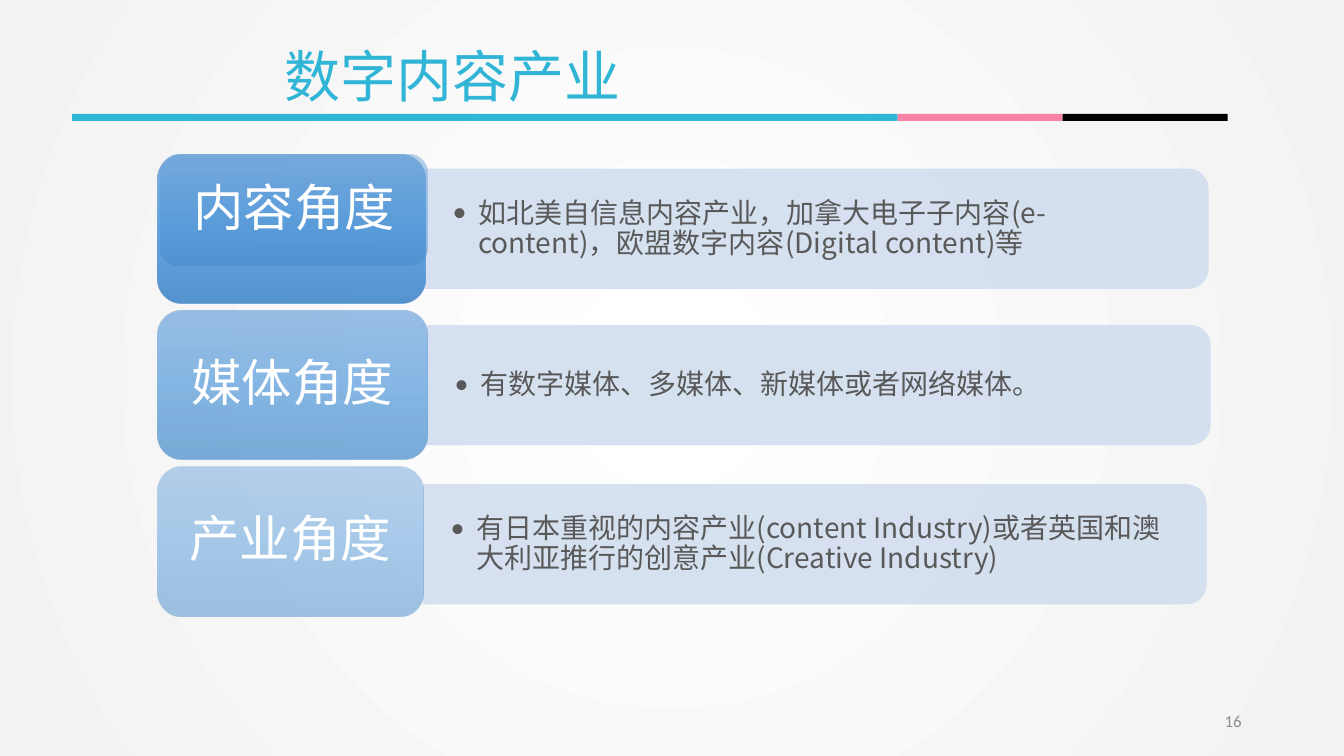
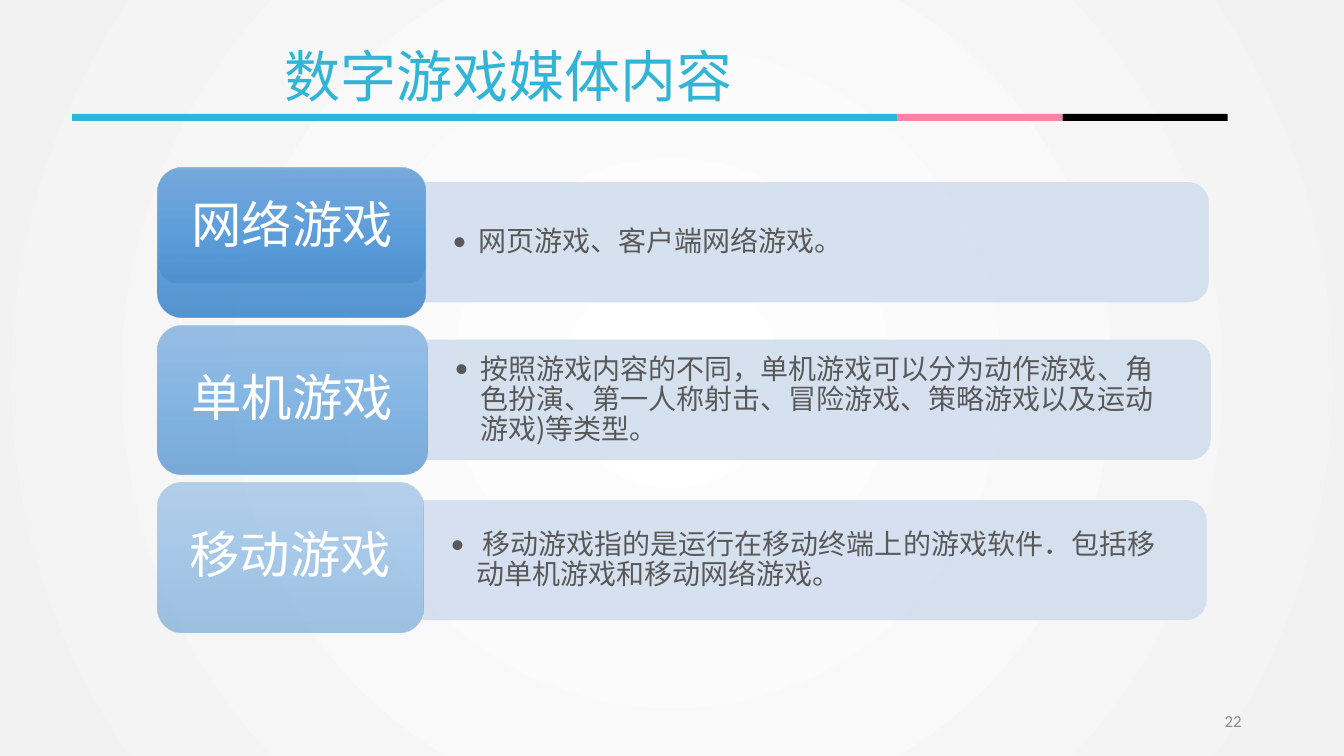
from lxml import etree
from pptx import Presentation
from pptx.dml.color import RGBColor
from pptx.enum.shapes import MSO_SHAPE
from pptx.enum.text import MSO_ANCHOR, PP_ALIGN
from pptx.oxml.ns import qn
from pptx.util import Cm, Pt

RECT, ROUND = MSO_SHAPE.RECTANGLE, MSO_SHAPE.ROUNDED_RECTANGLE
TAB = MSO_SHAPE.ROUND_2_SAME_RECTANGLE
LEFT, MID, RIGHT = PP_ALIGN.LEFT, PP_ALIGN.CENTER, PP_ALIGN.RIGHT
TOP, CENTER = MSO_ANCHOR.TOP, MSO_ANCHOR.MIDDLE

# Shared style
HAN, LATIN = "Noto Sans CJK SC", "Calibri"
CYAN, PINK, BLACK, WHITE = "31B5D6", "F784A5", "000000", "FFFFFF"
PALE, DARK, MUTED = "D2DEEF", "595959", "8C8C8C"
BLUES = ["71A6DB", "559BDB", "448ACA"]
BAR = [(CYAN, 5), (PINK, 1), (BLACK, 1)]
SLIDE_W, SLIDE_H = 33.87, 19.05

# Row grid in cm: tag width, panel drop, opacity
ROWS = [(6.76, 0.37, 90), (6.81, 0.37, 70), (6.71, 0.44, 50)]
TAG_X, TAG_H = 3.96, 3.76
PANEL_W, PANEL_H = 19.73, 3.01
LID_W, LID_H = 6.71, 2.81


def rgb(code):
    return RGBColor.from_string(code)


def add(node, tag, **attrs):
    return etree.SubElement(node, qn(tag), attrs)


def blend(fill, root, codes):
    """Give root an even gradient and return its node."""
    fill.gradient()
    grad = next(root.iter(qn("a:gradFill")))
    for child in list(grad):
        grad.remove(child)
    stops = add(grad, "a:gsLst")
    for i, code in enumerate(codes):
        stop = add(stops, "a:gs", pos=str(100000 * i // (len(codes) - 1)))
        add(stop, "a:srgbClr", val=code)
    return grad


def fade(shape, pct):
    for color in shape._element.spPr.iter(qn("a:srgbClr")):
        add(color, "a:alpha", val=str(pct * 1000))


def block(slide, kind, x, y, w, h, color=None):
    shape = slide.shapes.add_shape(kind, Cm(x), Cm(y), Cm(w), Cm(h))
    shape.shadow.inherit = False
    shape.line.fill.background()
    if color:
        shape.fill.solid()
        shape.fill.fore_color.rgb = rgb(color)
    return shape


def write(shape, words, size=20, color=DARK, font=HAN, align=LEFT,
          anchor=TOP, inset=(0.25, 0.13), wrap=True, space=1, bullet=False):
    frame = shape.text_frame
    frame.word_wrap = wrap
    frame.vertical_anchor = anchor
    frame.margin_left = frame.margin_right = Cm(inset[0])
    frame.margin_top = frame.margin_bottom = Cm(inset[1])
    para = frame.paragraphs[0]
    para.alignment = align
    para.line_spacing = space
    if bullet:
        props = para._p.get_or_add_pPr()
        props.set("marL", str(Cm(0.64)))
        props.set("indent", str(-Cm(0.64)))
        add(props, "a:buFont", typeface=LATIN)
        add(props, "a:buChar", char="•")
    run = para.add_run()
    run.text = words
    run.font.size = Pt(size)
    run.font.color.rgb = rgb(color)
    run.font.name = font
    add(run._r.get_or_add_rPr(), "a:ea", typeface=font)


def label(slide, x, y, w, h, words, **style):
    box = slide.shapes.add_textbox(Cm(x), Cm(y), Cm(w), Cm(h))
    write(box, words, **style)


def tag(slide, x, y, w, h, pct, words=None):
    shape = block(slide, ROUND, x, y, w, h)
    grad = blend(shape.fill, shape._element.spPr, BLUES)
    add(grad, "a:lin", ang="5400000", scaled="0")
    fade(shape, pct)
    if words:
        write(shape, words, size=36, color=WHITE, align=MID, anchor=CENTER,
              inset=(0.38, 0.18), space=0.9)


def panel(slide, x, y, words):
    # The tab shape is turned so its round corners face right
    shift = (PANEL_W - PANEL_H) / 2
    shape = block(slide, TAB, x + shift, y - shift, PANEL_H, PANEL_W, PALE)
    shape.rotation = 90
    shape.line.color.rgb = rgb(PALE)
    shape.line.width = Pt(0.5)
    fade(shape, 90)
    label(slide, x, y + 0.15, PANEL_W - 0.15, PANEL_H - 0.28, words,
          anchor=CENTER, inset=(0.69, 0.36), space=0.9, bullet=True)


def frame(deck, title, page):
    """Start a slide with its title, bar and page number."""
    slide = deck.slides.add_slide(deck.slide_layouts[6])
    x = 1.82
    for color, count in BAR:
        w = 4.16 * count
        block(slide, RECT, x, 2.87, w, 0.18, color)
        x += w
    label(slide, 6.93, 0.91, 12, 1.96, title, size=40, color=CYAN, wrap=False)
    label(slide, 23.92, 17.65, 7.62, 1.02, page, size=12, color=MUTED,
          font=LATIN, align=RIGHT, anchor=CENTER)
    return slide


def stack(slide, top, step, lid, items):
    """Draw the tagged rows; a lid over the first tag holds its name."""
    for i, ((name, words), (w, drop, pct)) in enumerate(zip(items, ROWS)):
        y = top + step * i
        panel(slide, TAG_X + w, y + drop, words)
        tag(slide, TAG_X, y, w, TAG_H, pct, name if i else None)
    tag(slide, *lid, LID_W, LID_H, 50, items[0][0])


def main():
    deck = Presentation()
    deck.slide_width, deck.slide_height = Cm(SLIDE_W), Cm(SLIDE_H)

    # Shared radial background
    master = deck.slide_master
    grad = blend(master.background.fill, master._element, [WHITE, "F2F2F2"])
    ring = add(grad, "a:path", path="circle")
    add(ring, "a:fillToRect", l="50000", t="50000", r="50000", b="50000")

    # Content industry
    slide = frame(deck, "数字内容产业", "16")
    stack(slide, 3.89, 3.94, (4.06, 3.89), [
        ("内容角度", "如北美自信息内容产业，加拿大电子子内容(e-content)，"
                 "欧盟数字内容(Digital content)等"),
        ("媒体角度", "有数字媒体、多媒体、新媒体或者网络媒体。"),
        ("产业角度", "有日本重视的内容产业(content Industry)或者英国和"
                 "澳大利亚推行的创意产业(Creative Industry)"),
    ])

    # Game media
    slide = frame(deck, "数字游戏媒体内容", "22")
    stack(slide, 4.23, 3.97, (4.01, 4.31), [
        ("网络游戏", "网页游戏、客户端网络游戏。"),
        ("单机游戏", "按照游戏内容的不同，单机游戏可以分为动作游戏、角色扮演、"
                 "第一人称射击、冒险游戏、策略游戏以及运动游戏)等类型。"),
        ("移动游戏", " 移动游戏指的是运行在移动终端上的游戏软件．"
                 "包括移动单机游戏和移动网络游戏。"),
    ])
    deck.save("out.pptx")


if __name__ == "__main__":
    main()
